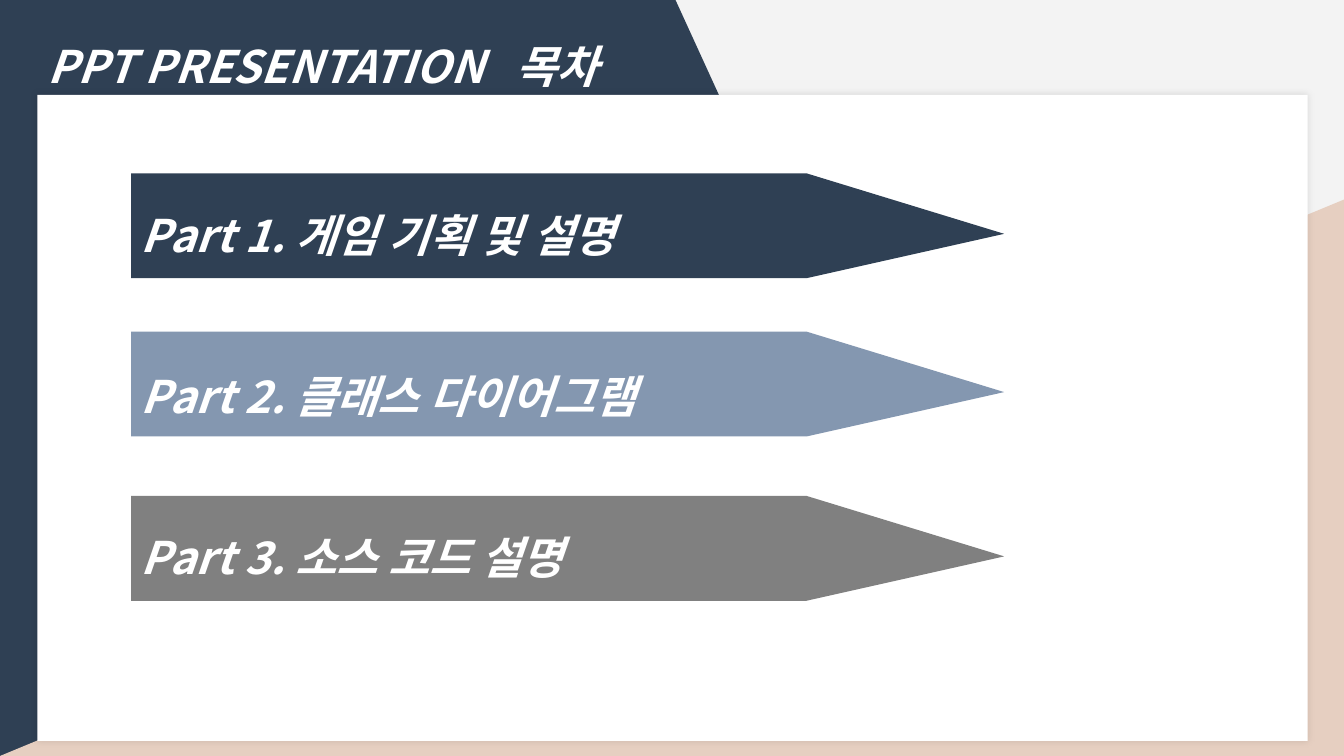
"""Build the contents slide with three arrow-shaped bars."""
import lxml.etree
import pptx
import pptx.dml.color
import pptx.enum.shapes
import pptx.enum.text
import pptx.oxml
import pptx.oxml.ns
import pptx.util

Inches = pptx.util.Inches
Pt = pptx.util.Pt
COLOURS = {"navy": "2F4054", "peach": "E6CFC1", "white": "FFFFFF",
           "blue": "8497B0", "grey": "808080", "paper": "F3F3F3"}
FONT = "Noto Sans CJK KR"
FONT_FORMAT = {"name": FONT, "size": Pt(32), "bold": True, "italic": True}
FRAME_FORMAT = {"word_wrap": True,
                "vertical_anchor": pptx.enum.text.MSO_ANCHOR.TOP,
                "auto_size": pptx.enum.text.MSO_AUTO_SIZE.SHAPE_TO_FIT_TEXT,
                "margin_left": Inches(0.1), "margin_right": Inches(0.1),
                "margin_top": Inches(0.05), "margin_bottom": Inches(0.05)}
PARA_FORMAT = {"line_spacing": 1.5, "alignment": pptx.enum.text.PP_ALIGN.LEFT}

TITLE = "PPT PRESENTATION\t목차"
TITLE_TAB = 4.64
PARTS = ["Part 1. 게임 기획 및 설명", "Part 2. 클래스 다이어그램", "Part 3. 소스 코드 설명"]
PART_GAP = 57.6
BARS = [(1.72, "navy"), (3.29, "blue"), (4.92, "grey")]
BAR_OUTLINE = [(1.3, 1.04), (1.3, 0), (8, 0), (9.96, 0.6), (8, 1.04)]
CORNER_OUTLINE = [(0, 7.5), (0, 0), (6.7, 0), (8.67, 4.31), (6.7, 7.5)]
SHADOW = {"blur": 5, "opacity": 10}


def colour(name):
    return pptx.dml.color.RGBColor.from_string(COLOURS[name])


def paint(shape, fill):
    shape.shadow.inherit = False
    shape.fill.solid()
    shape.fill.fore_color.rgb = colour(fill)
    shape.line.fill.background()


def add_outline(page, points, fill, top=0):
    corners = [(Inches(x), Inches(top + y)) for x, y in points]
    builder = page.shapes.build_freeform(*corners[0])
    builder.add_line_segments(corners[1:], close=True)
    paint(builder.convert_to_shape(), fill)


def add_preset(page, kind, place, fill):
    shape = page.shapes.add_shape(kind, *map(Inches, place))
    paint(shape, fill)
    return shape


def add_glow(shape):
    effects = shape._element.spPr.find(pptx.oxml.ns.qn("a:effectLst"))
    effects.append(pptx.oxml.parse_xml(
        f'<a:outerShdw {pptx.oxml.ns.nsdecls("a")} blurRad="{Pt(SHADOW["blur"])}" '
        'dist="0" dir="0" algn="ctr" rotWithShape="0"><a:srgbClr val="000000">'
        f'<a:alpha val="{SHADOW["opacity"] * 1000}"/></a:srgbClr></a:outerShdw>'))


def write(box, place, lines, gap=0):
    box.left, box.top, box.width, box.height = map(Inches, place)
    frame = box.text_frame
    for key, value in FRAME_FORMAT.items():
        setattr(frame, key, value)
    for index, line in enumerate(lines):
        para = frame.add_paragraph() if index else frame.paragraphs[0]
        for key, value in PARA_FORMAT.items():
            setattr(para, key, value)
        para.space_before = Pt(gap if index else 0)
        span = para.add_run()
        span.text = line
        for key, value in FONT_FORMAT.items():
            setattr(span.font, key, value)
        span.font.color.rgb = colour("white")
        east = lxml.etree.SubElement(span._r.get_or_add_rPr(), pptx.oxml.ns.qn("a:ea"))
        east.set("typeface", FONT)


def add_tab(para, position):
    tabs = lxml.etree.SubElement(para._p.get_or_add_pPr(), pptx.oxml.ns.qn("a:tabLst"))
    tab = lxml.etree.SubElement(tabs, pptx.oxml.ns.qn("a:tab"))
    tab.set("pos", str(Inches(position)))
    tab.set("algn", "l")


def main():
    deck = pptx.Presentation()
    deck.slide_width, deck.slide_height = Inches(13.33), Inches(7.5)
    page = deck.slides.add_slide(deck.slide_layouts[5])
    page.background.fill.solid()
    page.background.fill.fore_color.rgb = colour("paper")

    kinds = pptx.enum.shapes.MSO_SHAPE
    add_outline(page, CORNER_OUTLINE, "navy")
    wedge = add_preset(page, kinds.RIGHT_TRIANGLE, (0, 1.98, 13.33, 5.52), "peach")
    wedge._element.spPr.xfrm.set("flipH", "1")
    panel = add_preset(page, kinds.RECTANGLE, (0.37, 0.94, 12.6, 6.41), "white")
    add_glow(panel)

    title = page.shapes.title
    write(title, (0.37, 0.07, 9.77, 0.9), [TITLE])
    add_tab(title.text_frame.paragraphs[0], TITLE_TAB)
    page.shapes._spTree.append(title._element)

    for top, fill in BARS:
        add_outline(page, BAR_OUTLINE, fill, top)
    place = (1.3, 1.74, 9.77, 4.1)
    write(page.shapes.add_textbox(*map(Inches, place)), place, PARTS, PART_GAP)
    deck.save("out.pptx")


if __name__ == "__main__":
    main()
